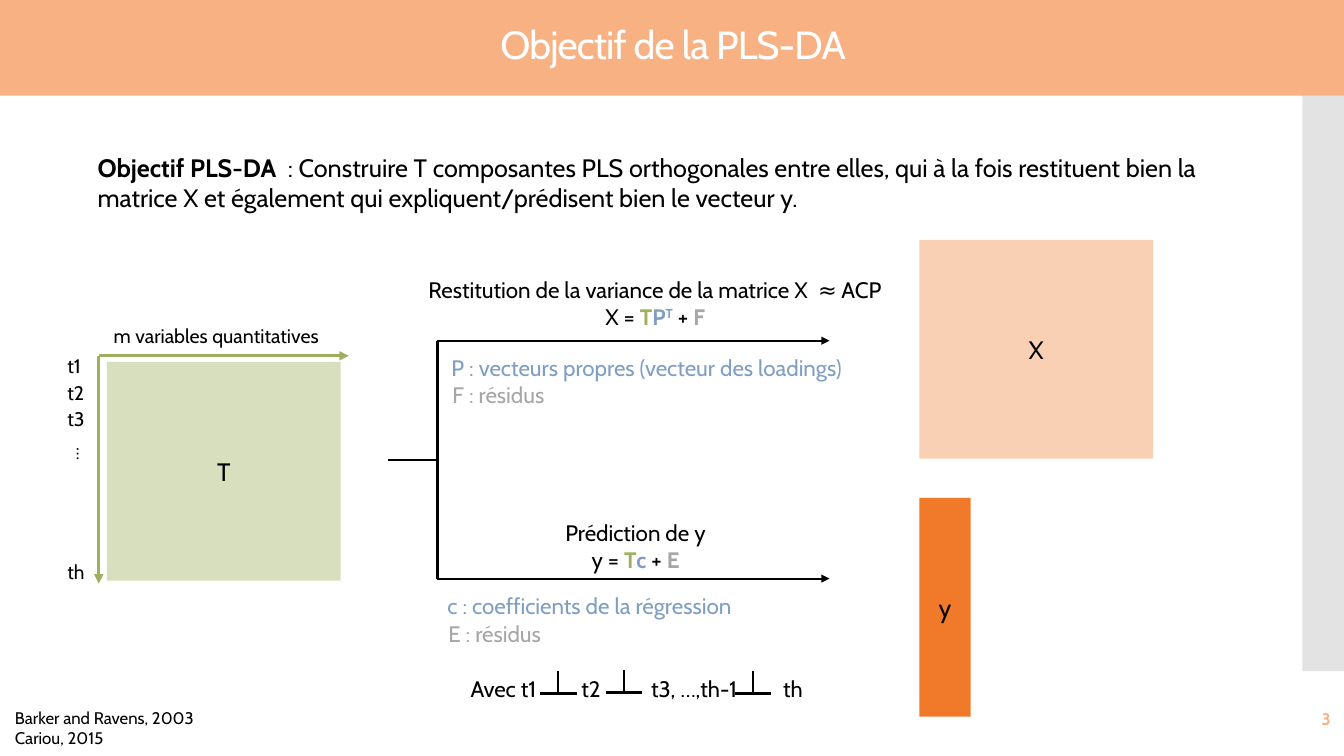
from pptx import Presentation
from pptx import util as u
from pptx.dml.color import RGBColor
from pptx.enum import shapes, text
from pptx.oxml.ns import qn
from lxml import etree

CELL = 0.1
COLUMNS, ROWS = 133.33, 75
FONT = "Cabin"
BLACK, WHITE, PEACH, GREEN, BLUE, GREY = "000000", "FFFFFF", "F7B183", "9EB060", "809EC2", "A6A6A6"
LEFT, CENTER, RIGHT = text.PP_ALIGN.LEFT, text.PP_ALIGN.CENTER, text.PP_ALIGN.RIGHT
MATRIX = (23.2, 21.7)
TRUNK, FORK, BRANCHES, BRANCH_END = 43.4, 45.6, (33.8, 57.4), 82.3
AXIS = (9.8, 35.3)

# Each block: left, top, width, height, fill, label, size
BLOCKS = [
    (129.2, 8.3, 4.13, 58.3, "E3E3E3", "", 18),
    (0, 0, COLUMNS, 9.5, PEACH, "", 18),
    (10.6, 35.9, *MATRIX, "D8DFBF", "T", 18),
    (91.2, 23.8, *MATRIX, "FAD0B5", "X", 18),
    (91.2, 49.4, 5.1, MATRIX[1], "F1792A", "y", 18),
]

# Each text: left, top, width, height, size, alignment, paragraphs of (words, colour, bold, raised)
TEXTS = [
    (8.7, 14.6, 119, 7.1, 18, LEFT, [[
        ("Objectif PLS-DA ", BLACK, True),
        (" : Construire T composantes PLS orthogonales entre elles, qui à la fois restituent bien la "
         "matrice X et également qui expliquent/prédisent bien le vecteur y.", BLACK)]]),
    (10.3, 31.6, 23.9, 3.4, 14, LEFT, [[("m variables quantitatives", BLACK)]]),
    (41, 26.9, 48, 6.4, 16, CENTER, [
        [("Restitution de la variance de la matrice X  ≈ ACP", BLACK)],
        [("X = ", BLACK), ("T", GREEN, True), ("P", BLUE, True), ("T", BLUE, True, True),
         (" + ", BLACK), ("F", GREY, True)]]),
    (43.8, 34.6, 40.9, 3.7, 16, LEFT, [[("P : vecteurs propres (vecteur des loadings)", BLUE)]]),
    (43.9, 37.3, 36.4, 3.7, 16, LEFT, [[("F : résidus", GREY)]]),
    (46.2, 51, 33.7, 6.4, 16, CENTER, [
        [("Prédiction de y", BLACK)],
        [("y = ", BLACK), ("T", GREEN, True), ("c", BLUE, True), (" + ", BLACK), ("E", GREY, True)]]),
    (43.4, 58.3, 40.9, 3.7, 16, LEFT, [[("c : coefficients de la régression", BLUE)]]),
    (43.5, 61, 36.4, 3.7, 16, LEFT, [[("E : résidus", GREY)]]),
    (0.5, 69.7, 24, 5, 12, LEFT, [[("Barker and Ravens, 2003", BLACK)], [("Cariou, 2015", BLACK)]]),
    (116.3, 69.8, 16.7, 3.4, 12, RIGHT, [[("3", PEACH, True)]]),
]
ROW_LABELS = {"t1": 34.6, "t2": 37.3, "t3": 39.9, "th": 55.1}
ORTHOGONAL = "Avec t1\tt2\tt3, …,th-1\tth"
TAB_STOPS = (11, 17.9, 31)
SIGNS = [(55.4, 68.8), (61.9, 68.7), (74.7, 68.8)]
SIGN_HALF, SIGN_HEIGHT = 1.8, 2.2

# Each line: from column, from row, to column, to row, colour, width, arrowhead
LINES = [
    (*AXIS, 34.6, AXIS[1], GREEN, 2.25, True),
    (*AXIS, AXIS[0], 57.9, GREEN, 2.25, True),
    (38.5, FORK, TRUNK, FORK, BLACK, 1.5, False),
    (TRUNK, BRANCHES[0], TRUNK, BRANCHES[1], BLACK, 1.5, False),
]
LINES += [(TRUNK, row, BRANCH_END, row, BLACK, 1.5, True) for row in BRANCHES]
for middle, base in SIGNS:
    LINES.append((middle, base - SIGN_HEIGHT, middle, base, BLACK, 1.5, False))
    LINES.append((middle - SIGN_HALF, base, middle + SIGN_HALF, base, BLACK, 1.5, False))


def cells(*counts):
    """Turn grid counts into lengths."""
    return [u.Inches(count * CELL) for count in counts]


def color(value):
    """Turn a hex string into a colour."""
    return RGBColor.from_string(value)


def write(frame, paragraphs, size, align):
    """Fill a text frame with styled paragraphs."""
    frame.word_wrap = True
    for index, runs in enumerate(paragraphs):
        para = frame.add_paragraph() if index else frame.paragraphs[0]
        para.alignment = align
        for words, shade, *style in runs:
            bold, raised = (style + [False, False])[:2]
            span = para.add_run()
            span.text = words
            for name, value in {"name": FONT, "size": u.Pt(size), "bold": bold}.items():
                setattr(span.font, name, value)
            span.font.color.rgb = color(shade)
            if raised:
                span.font._element.set("baseline", "30000")


def add_block(page, left, top, width, height, fill, label, size):
    """Add a plain rectangle with an optional label."""
    box = page.shapes.add_shape(shapes.MSO_SHAPE.RECTANGLE, *cells(left, top, width, height))
    box.shadow.inherit = False
    box.fill.solid()
    box.fill.fore_color.rgb = color(fill)
    box.line.fill.background()
    box.text_frame.vertical_anchor = text.MSO_ANCHOR.MIDDLE
    if label:
        write(box.text_frame, [[(label, BLACK)]], size, CENTER)


def add_text(page, left, top, width, height, size, align, paragraphs):
    """Add a wrapped text box."""
    box = page.shapes.add_textbox(*cells(left, top, width, height))
    write(box.text_frame, paragraphs, size, align)
    return box


def add_line(page, left, top, right, bottom, shade, width, arrow):
    """Add a straight line, with or without an arrowhead."""
    line = page.shapes.add_connector(shapes.MSO_CONNECTOR.STRAIGHT, *cells(left, top, right, bottom))
    line.line.color.rgb = color(shade)
    line.line.width = u.Pt(width)
    if arrow:
        etree.SubElement(line.line._get_or_add_ln(), qn("a:tailEnd"), type="triangle")
    etree.SubElement(line._element.spPr, qn("a:effectLst"))


def main():
    """Build the slide and save it."""
    deck = Presentation()
    deck.slide_width, deck.slide_height = cells(COLUMNS, ROWS)
    page = deck.slides.add_slide(deck.slide_layouts[6])
    for block in BLOCKS:
        add_block(page, *block)

    title = add_text(page, 0.1, 0, COLUMNS, 9.3, 28, CENTER, [[("Objectif de la PLS-DA", WHITE)]])
    title.text_frame.vertical_anchor = text.MSO_ANCHOR.MIDDLE
    heading = title.text_frame.paragraphs[0]
    heading.line_spacing = 0.9
    heading.runs[0].font._element.set("spc", "-60")

    for item in TEXTS:
        add_text(page, *item)
    for label, row in ROW_LABELS.items():
        add_text(page, 5.7, row, 6, 3.4, 14, LEFT, [[(label, BLACK)]])
    dots = add_text(page, 6.8, 43.3, 3.1, 3.4, 14, LEFT, [[("…", BLACK)]])
    dots.rotation = 90

    relation = add_text(page, 45.7, 66.5, 36.6, 3.7, 16, LEFT, [[(ORTHOGONAL, BLACK)]])
    stops = etree.SubElement(relation.text_frame.paragraphs[0]._p.get_or_add_pPr(), qn("a:tabLst"))
    for position in cells(*TAB_STOPS):
        etree.SubElement(stops, qn("a:tab"), pos=str(position), algn="l")
    for line in LINES:
        add_line(page, *line)
    deck.save("out.pptx")


if __name__ == "__main__":
    main()
